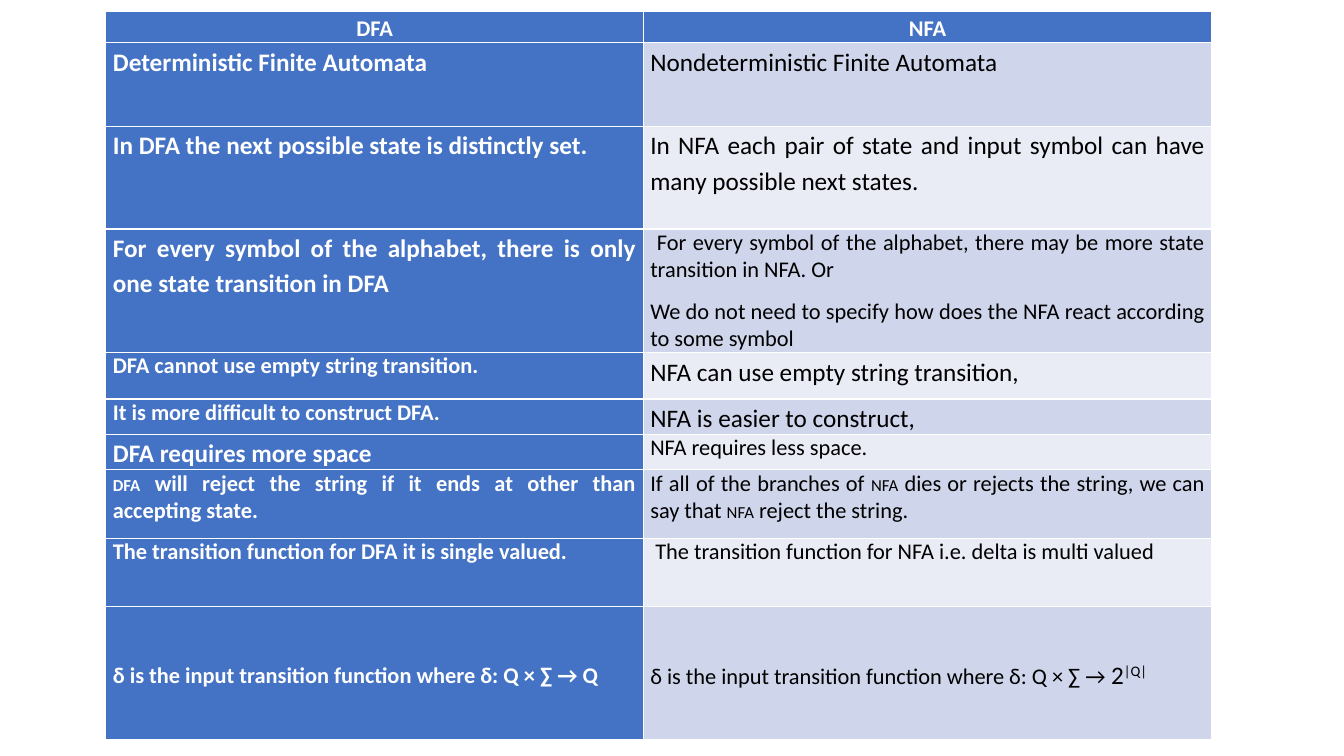
from dataclasses import dataclass

from pptx import Presentation
from pptx.dml.color import RGBColor
from pptx.enum.text import MSO_ANCHOR, PP_ALIGN
from pptx.util import Inches, Pt

CENTER, JUSTIFY = PP_ALIGN.CENTER, PP_ALIGN.JUSTIFY
TOP, MIDDLE = MSO_ANCHOR.TOP, MSO_ANCHOR.MIDDLE


@dataclass(frozen=True)
class Theme:
    """Colours, font and type sizes of the slide."""
    font: str = "Calibri"
    blue: str = "4472C4"
    bands: tuple = ("E9EBF5", "CFD5EA")
    white: str = "FFFFFF"
    black: str = "000000"
    small: int = 12
    body: int = 16
    large: int = 18
    loose: float = 1.15
    after: int = 10
    inset: float = 0.07


THEME = Theme()
S, B, L = THEME.small, THEME.body, THEME.large
BOX = (1.05, 0.11, 10.97)
SHARES = (5.33, 5.64)
HEIGHTS = (0.31, 0.83, 1.02, 1.22, 0.46, 0.35, 0.35, 0.68, 0.68, 1.32)
RULE = "δ is the input transition function where δ: Q × ∑ → "

ROWS = [
    ([[("DFA", B)]], [[("NFA", B)]]),
    ([[("Deterministic Finite Automata", L)]],
     [[("Nondeterministic Finite Automata", L)]]),
    ([[("In DFA the next possible state is distinctly set.", L)]],
     [[("In NFA each pair of state and input symbol can have many possible "
        "next states.", L)]]),
    ([[("For every symbol of the alphabet, there is only one state "
        "transition in DFA", L)]],
     [[(" For every symbol of the alphabet, there may be more state "
        "transition in NFA. Or", B)],
      [("We do not need to specify how does the NFA react according to some "
        "symbol", B)]]),
    ([[("DFA cannot use empty string transition.", B)]],
     [[("NFA can use empty string transition,", L)]]),
    ([[("It is more difficult to construct DFA.", B)]],
     [[("NFA is easier to construct,", L)]]),
    ([[("DFA requires more space", L)]],
     [[("NFA requires less space.", B)]]),
    ([[("DFA", S),
       (" will reject the string if it ends at other than accepting state.",
        B)]],
     [[("If all of the branches of ", B), ("NFA", S),
       (" dies or rejects the string, we can say that ", B), ("NFA", S),
       (" reject the string.", B)]]),
    ([[("The transition function for DFA it is single valued.", B)]],
     [[(" The transition function for NFA i.e. delta is multi valued", B)]]),
    ([[(RULE + "Q", B)]], [[(RULE, B), ("2", L), ("|Q|", L)]]),
]


def fill_cell(cell, paras, fill, ink, bold, align, edge):
    """Write formatted paragraphs into one table cell."""
    cell.fill.solid()
    cell.fill.fore_color.rgb = RGBColor.from_string(fill)
    cell.margin_left = cell.margin_right = Inches(THEME.inset)
    cell.margin_top = cell.margin_bottom = 0
    cell.vertical_anchor = MIDDLE if edge else TOP
    frame = cell.text_frame
    frame.text = "\n".join("".join(t for t, _ in runs) for runs in paras)
    for para, runs in zip(frame.paragraphs, paras):
        para.alignment = align
        para.space_after = Pt(THEME.after)
        para.line_spacing = THEME.loose if edge or runs[0][1] == L else 1.0
        para.runs[0].text = runs[0][0]
        for text, _ in runs[1:]:
            para.add_run().text = text
        for run, (text, size) in zip(para.runs, runs):
            font = run.font
            font.name, font.size, font.bold = THEME.font, Pt(size), bold
            font.color.rgb = RGBColor.from_string(ink)
            if text == "|Q|":
                run._r.get_or_add_rPr().set("baseline", "30000")


def add_grid(slide, left, top, width):
    """Place the comparison table within the given box."""
    shape = slide.shapes.add_table(
        len(ROWS), len(SHARES), Inches(left), Inches(top),
        Inches(width), Inches(sum(HEIGHTS)))
    table = shape.table
    table.first_col = True
    for col, share in zip(table.columns, SHARES):
        col.width = Inches(width * share / sum(SHARES))
    for i, (row, height) in enumerate(zip(ROWS, HEIGHTS)):
        table.rows[i].height = Inches(height)
        for j, paras in enumerate(row):
            head = i == 0
            key = head or j == 0
            fill_cell(table.cell(i, j), paras,
                      THEME.blue if key else THEME.bands[i % 2],
                      THEME.white if key else THEME.black, key,
                      CENTER if head else JUSTIFY,
                      head or i == len(ROWS) - 1)


def main():
    """Build and save the slide."""
    deck = Presentation()
    deck.slide_width, deck.slide_height = Inches(13.33), Inches(7.5)
    slide = deck.slides.add_slide(deck.slide_layouts[6])
    add_grid(slide, *BOX)
    deck.save("out.pptx")


if __name__ == "__main__":
    main()
